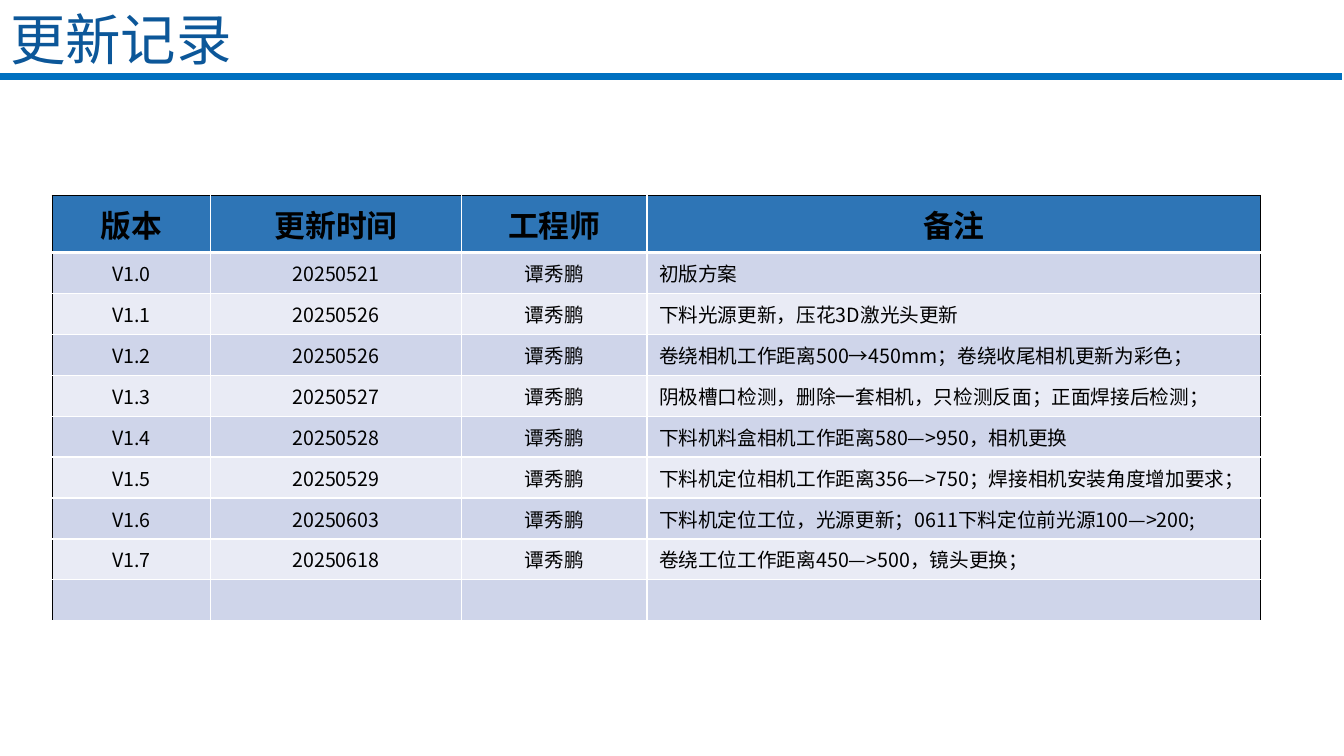
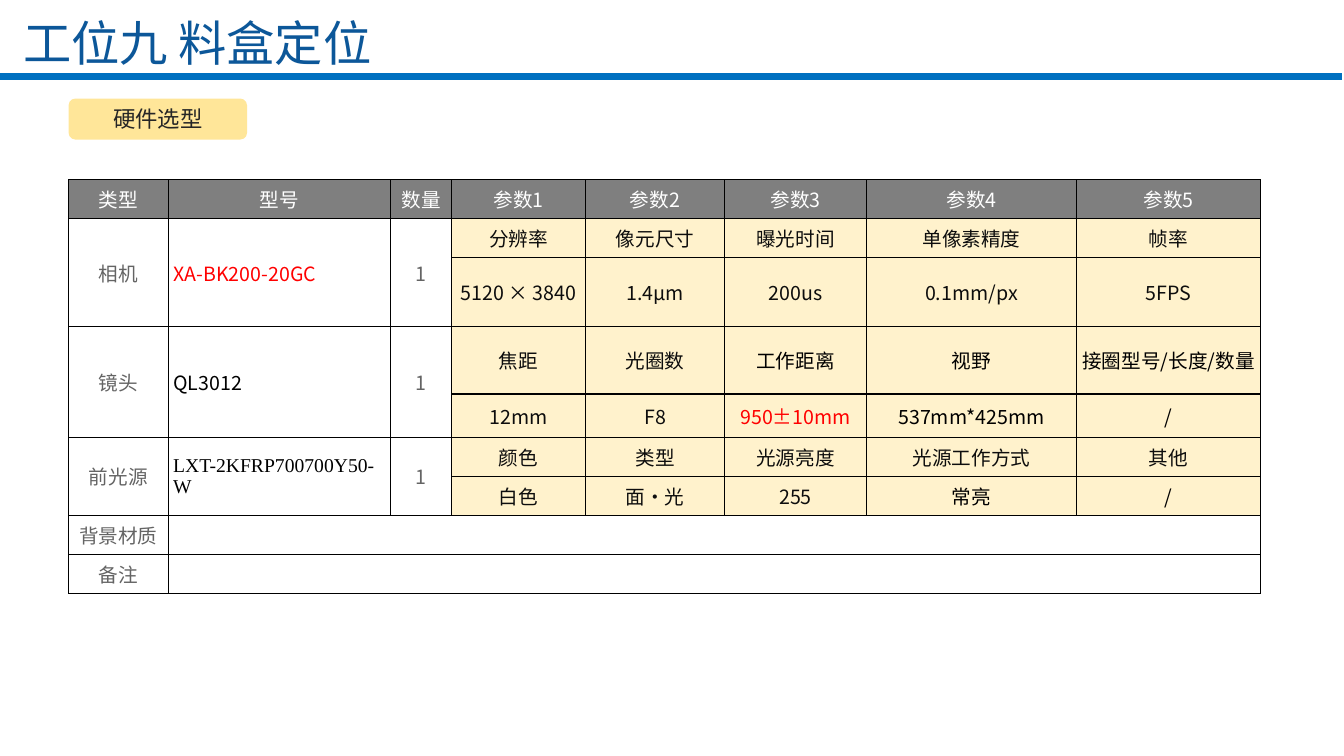
from dataclasses import dataclass

from lxml.etree import SubElement
from pptx import Presentation
from pptx.dml.color import RGBColor
from pptx.enum.shapes import MSO_CONNECTOR as CONN, MSO_SHAPE as SHAPE
from pptx.enum.text import MSO_ANCHOR as ANCHOR, MSO_AUTO_SIZE as FIT, PP_ALIGN as ALIGN
from pptx.oxml.ns import qn
from pptx.util import Pt


@dataclass(frozen=True)
class Theme:
    font: str = "Noto Sans CJK SC"
    header_font: str = "Calibri"
    model_font: str = "Times New Roman"
    title: str = "0C5799"
    rule: str = "0070C0"
    black: str = "000000"
    white: str = "FFFFFF"
    red: str = "FF0000"
    log_header: str = "2E75B6"
    log_bands: tuple = ("CFD5EA", "E9EBF5")
    spec_header: str = "7F7F7F"
    spec_label: str = "646464"
    spec_value: str = "0D0D0D"
    spec_fill: str = "FFF2CC"
    tag_fill: str = "FFE699"
    tag_text: str = "262626"
    log_header_size: float = 22
    body_size: float = 14
    tag_size: float = 16


T = Theme()

LOG_TITLE = "更新记录"
ENGINEER = "谭秀鹏"
LOG_HEADER = ("版本", "更新时间", "工程师", "备注")
LOG = [
    ("V1.0", "20250521", "初版方案"),
    ("V1.1", "20250526", "下料光源更新，压花3D激光头更新"),
    ("V1.2", "20250526", "卷绕相机工作距离500→450mm；卷绕收尾相机更新为彩色；"),
    ("V1.3", "20250527", "阴极槽口检测，删除一套相机，只检测反面；正面焊接后检测；"),
    ("V1.4", "20250528", "下料机料盒相机工作距离580—>950，相机更换"),
    ("V1.5", "20250529", "下料机定位相机工作距离356—>750；焊接相机安装角度增加要求；"),
    ("V1.6", "20250603", "下料机定位工位，光源更新；0611下料定位前光源100—>200;"),
    ("V1.7", "20250618", "卷绕工位工作距离450—>500，镜头更换；"),
]
LOG_COLS = (113, 179.3, 132.5, 438.5)
LOG_ROWS = (40.7,) + (29.25,) * (len(LOG) + 1)

SPEC_TITLE = "工位九 料盒定位"
SPEC_TAG = "硬件选型"
SPEC_HEADER = ("类型", "型号", "数量", "参数1", "参数2", "参数3", "参数4", "参数5")
# kind, model, model colour, model font, parameter names, parameter values
DEVICES = [
    ("相机", "XA-BK200-20GC", T.red, T.font,
     ("分辨率", "像元尺寸", "曝光时间", "单像素精度", "帧率"),
     ("5120 × 3840", "1.4μm", "200us", "0.1mm/px", "5FPS")),
    ("镜头", "QL3012", T.black, T.font,
     ("焦距", "光圈数", "工作距离", "视野", "接圈型号/长度/数量"),
     ("12mm", "F8", "950±10mm", "537mm*425mm", "/")),
    ("前光源", "LXT-2KFRP700700Y50-W", T.black, T.model_font,
     ("颜色", "类型", "光源亮度", "光源工作方式", "其他"),
     ("白色", "面·光", "255", "常亮", "/")),
]
QUANTITY = "1"
OPEN_ROWS = ("背景材质", "备注")
VALUE_COLORS = {"950±10mm": T.red} | dict.fromkeys(
    ("工作距离", "视野", "接圈型号/长度/数量", "537mm*425mm", "/", "常亮"), T.black)
SPEC_COLS = (71.1, 158.9, 43.6, 95.7, 99.3, 101.4, 150, 131.4)
SPEC_ROWS = (27.9, 27.9, 49, 48.2, 30.9) + (27.9,) * 4


def rgb(color):
    return RGBColor.from_string(color)


def write(p, text, size, color, font=T.font, bold=False, align=ALIGN.CENTER):
    p.alignment = align
    r = p.add_run()
    r.text = text
    r.font.size, r.font.bold, r.font.name = Pt(size), bold, font
    r.font.color.rgb = rgb(color)
    SubElement(r.font._element, qn("a:ea")).set("typeface", T.font)


def add_rule(prs, slide, layout):
    """Place the line under the title on the layout, for every slide."""
    line = slide.shapes.add_connector(CONN.STRAIGHT, Pt(-1.5), Pt(54.8), Pt(958.5), Pt(54.8))
    line.line.color.rgb = rgb(T.rule)
    line.line.width = Pt(4.75)
    SubElement(line._element.spPr, qn("a:effectLst"))
    layout.shapes._spTree.append(line._element)


def set_title(slide, text, left, size, spacing):
    sp = slide.shapes.title
    sp.left, sp.top, sp.width, sp.height = Pt(left), Pt(9.4), Pt(864), Pt(41.8)
    tf = sp.text_frame
    tf.auto_size, tf.word_wrap, tf.vertical_anchor = FIT.NONE, True, ANCHOR.MIDDLE
    p = tf.paragraphs[0]
    p.line_spacing = spacing
    write(p, text, size, T.title, align=ALIGN.LEFT)


def add_grid(slide, left, top, cols, rows):
    frame = slide.shapes.add_table(len(rows), len(cols), Pt(left), Pt(top),
                                   Pt(sum(cols)), Pt(sum(rows)))
    table = frame.table
    table.first_row = table.horz_banding = False
    for col, width in zip(table.columns, cols):
        col.width = Pt(width)
    for row, height in zip(table.rows, rows):
        row.height = Pt(height)
    return table


def style_cell(cell, fill, borders, pad_x, pad_y):
    """Borders are (colour, width) for left, right, top and bottom."""
    tcPr = cell._tc.get_or_add_tcPr()
    for side, (color, width) in zip("LRTB", borders):
        ln = SubElement(tcPr, qn(f"a:ln{side}"), w=str(Pt(width)))
        SubElement(SubElement(ln, qn("a:solidFill")), qn("a:srgbClr")).set("val", color)
    cell.fill.solid()
    cell.fill.fore_color.rgb = rgb(fill)
    cell.vertical_anchor = ANCHOR.MIDDLE
    cell.margin_left = cell.margin_right = Pt(pad_x)
    cell.margin_top = cell.margin_bottom = Pt(pad_y)


def fill_cell(cell, text, color, **style):
    p = cell.text_frame.paragraphs[0]
    size = style.pop("size", T.body_size)
    if text:
        write(p, text, size, color, **style)
    else:
        p._p.get_or_add_endParaRPr().set("sz", str(size * 100))


def build_log(slide):
    set_title(slide, LOG_TITLE, 0, 39.6, 0.9)
    table = add_grid(slide, 37.4, 139.7, LOG_COLS, LOG_ROWS)
    rows = [LOG_HEADER]
    rows += [(version, date, ENGINEER, note) for version, date, note in LOG]
    rows.append(("",) * len(LOG_COLS))
    last = len(LOG_COLS) - 1
    inner, outer = (T.white, 1), (T.black, 1)
    for i, row in enumerate(rows):
        header = i == 0
        fill = T.log_header if header else T.log_bands[(i - 1) % 2]
        for j, text in enumerate(row):
            borders = (outer if j == 0 else inner,
                       outer if j == last else inner,
                       outer if header else (T.white, 3 if i == 1 else 1),
                       (T.white, 3) if header else inner)
            cell = table.cell(i, j)
            style_cell(cell, fill, borders, 8.6, 4.3)
            if header:
                fill_cell(cell, text, T.black, size=T.log_header_size,
                          font=T.header_font, bold=True)
            else:
                fill_cell(cell, text, T.black,
                          align=ALIGN.LEFT if j == last else ALIGN.CENTER)


def build_spec(slide):
    set_title(slide, SPEC_TITLE, 9.4, 34.5, 1.0)
    table = add_grid(slide, 49, 128.4, SPEC_COLS, SPEC_ROWS)
    first_param = 3
    first_open = 1 + 2 * len(DEVICES)
    for i in range(len(SPEC_ROWS)):
        for j in range(len(SPEC_COLS)):
            is_param = j >= first_param and i < first_open
            fill = T.spec_header if i == 0 else T.spec_fill if is_param else T.white
            style_cell(table.cell(i, j), fill, [(T.black, 1)] * 4, 3.6 if j else 0, 3.6)

    for j, text in enumerate(SPEC_HEADER):
        fill_cell(table.cell(0, j), text, T.white)
    for n, (kind, model, color, font, names, values) in enumerate(DEVICES):
        top = 1 + 2 * n
        for j in range(first_param):
            table.cell(top, j).merge(table.cell(top + 1, j))
        fill_cell(table.cell(top, 0), kind, T.spec_label)
        fill_cell(table.cell(top, 1), model, color, font=font, align=ALIGN.LEFT)
        fill_cell(table.cell(top, 2), QUANTITY, T.spec_label)
        for i, texts in enumerate((names, values), top):
            for j, text in enumerate(texts, first_param):
                fill_cell(table.cell(i, j), text, VALUE_COLORS.get(text, T.spec_value))
    for i, label in enumerate(OPEN_ROWS, first_open):
        fill_cell(table.cell(i, 0), label, T.spec_label)
        table.cell(i, 1).merge(table.cell(i, len(SPEC_COLS) - 1))
        fill_cell(table.cell(i, 1), "", T.black)

    tag = slide.shapes.add_shape(SHAPE.ROUNDED_RECTANGLE, Pt(49), Pt(70.4), Pt(127.5), Pt(29.3))
    tag.shadow.inherit = False
    tag.fill.solid()
    tag.fill.fore_color.rgb = rgb(T.tag_fill)
    tag.line.fill.background()
    tag.text_frame.vertical_anchor = ANCHOR.MIDDLE
    write(tag.text_frame.paragraphs[0], SPEC_TAG, T.tag_size, T.tag_text)


def main():
    prs = Presentation()
    prs.slide_width, prs.slide_height = Pt(960), Pt(540)
    layout = prs.slide_layouts.get_by_name("Title Only")
    slides = [prs.slides.add_slide(layout) for _ in range(2)]
    add_rule(prs, slides[0], layout)
    for slide, build in zip(slides, (build_log, build_spec)):
        build(slide)
    prs.save("out.pptx")


if __name__ == "__main__":
    main()
